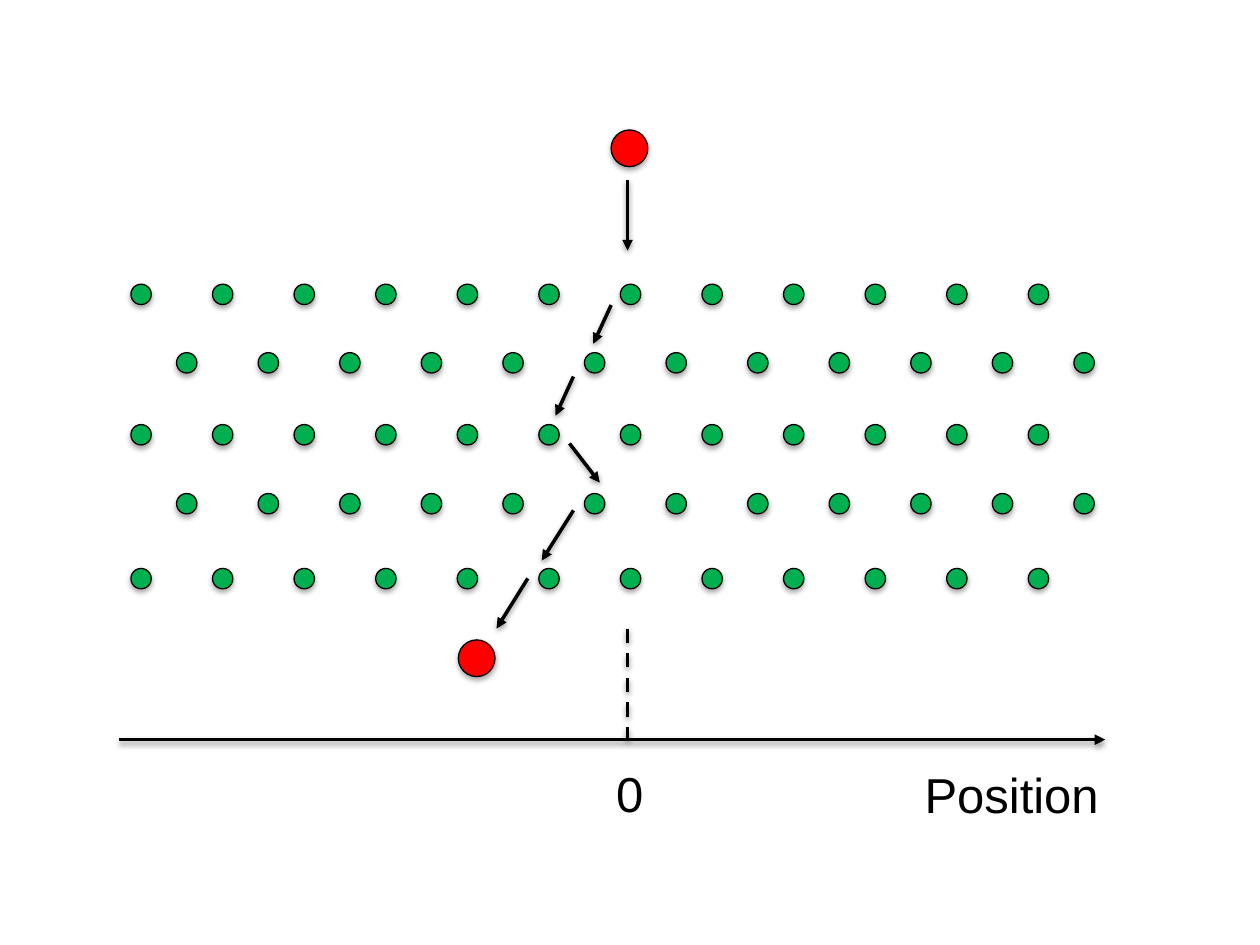
from dataclasses import dataclass

from lxml.etree import SubElement
from pptx import Presentation
from pptx.dml.color import RGBColor
from pptx.enum.dml import MSO_LINE_DASH_STYLE as Dash
from pptx.enum.shapes import MSO_CONNECTOR as Connector
from pptx.enum.shapes import MSO_SHAPE as Shape
from pptx.oxml.ns import qn
from pptx.slide import Slide
from pptx.util import Cm, Pt

BLACK = RGBColor(0x00, 0x00, 0x00)
GREEN = RGBColor(0x00, 0xB0, 0x50)
RED = RGBColor(0xFF, 0x00, 0x00)

# All positions and sizes are in centimetres.
PEG_SIZE = 0.41
BALL_SIZE = 0.74
PEGS_PER_ROW = 12
ROW_SPAN = 18.09
EVEN_ROW_LEFT, ODD_ROW_LEFT = 2.64, 3.56
ROW_TOPS = (5.73, 7.11, 8.56, 9.95, 11.46)
ZERO_X = 12.65
AXIS_Y = 14.91


@dataclass(frozen=True)
class Disc:
    left: float
    top: float
    size: float
    color: RGBColor


@dataclass(frozen=True)
class Stroke:
    x1: float
    y1: float
    x2: float
    y2: float
    dashed: bool = False


BALLS = (
    Disc(12.32, 2.62, BALL_SIZE, RED),
    Disc(9.24, 12.9, BALL_SIZE, RED),
)
STROKES = (
    Stroke(ZERO_X, 3.63, ZERO_X, 5.05),
    Stroke(12.32, 6.15, 11.96, 6.93),
    Stroke(11.56, 7.59, 11.2, 8.38),
    Stroke(11.48, 8.94, 12.09, 9.73),
    Stroke(11.56, 10.29, 10.92, 11.3),
    Stroke(10.64, 11.66, 10.01, 12.67),
    Stroke(2.39, AXIS_Y, 22.28, AXIS_Y),
    Stroke(ZERO_X, 12.67, ZERO_X, AXIS_Y, dashed=True),
)


def add_shadow(properties, distance: float, opacity: int) -> None:
    """Append a soft downward shadow; must follow the fill and line."""
    effects = SubElement(properties, qn("a:effectLst"))
    shadow = SubElement(
        effects, qn("a:outerShdw"), blurRad=str(Pt(3.1)), dist=str(Pt(distance)),
        dir="5400000", rotWithShape="0",
    )
    color = SubElement(shadow, qn("a:srgbClr"), val=str(BLACK))
    SubElement(color, qn("a:alpha"), val=str(opacity * 1000))


def add_disc(page: Slide, disc: Disc) -> None:
    shape = page.shapes.add_shape(
        Shape.OVAL, Cm(disc.left), Cm(disc.top), Cm(disc.size), Cm(disc.size)
    )
    shape.fill.solid()
    shape.fill.fore_color.rgb = disc.color
    shape.line.color.rgb = BLACK
    shape.line.width = Pt(0.75)
    add_shadow(shape.element.spPr, distance=1.8, opacity=35)


def add_stroke(page: Slide, stroke: Stroke) -> None:
    """Draw a dashed guide, or a solid line with an arrowhead."""
    connector = page.shapes.add_connector(
        Connector.STRAIGHT, Cm(stroke.x1), Cm(stroke.y1), Cm(stroke.x2), Cm(stroke.y2)
    )
    connector.line.color.rgb = BLACK
    connector.line.width = Pt(2)
    properties = connector.element.spPr
    if stroke.dashed:
        connector.line.dash_style = Dash.DASH
    else:
        SubElement(properties.find(qn("a:ln")), qn("a:tailEnd"), type="triangle")
    add_shadow(properties, distance=1.6, opacity=38)


def add_text(page: Slide, text: str, *, left: float, top: float, width: float,
             height: float = 1.45, size: float = 28, font: str = "Arial",
             color: RGBColor = BLACK) -> None:
    box = page.shapes.add_textbox(Cm(left), Cm(top), Cm(width), Cm(height))
    box.text_frame.word_wrap = True
    span = box.text_frame.paragraphs[0].add_run()
    span.text = text
    span.font.name = font
    span.font.size = Pt(size)
    span.font.color.rgb = color


def add_pegs(page: Slide) -> None:
    pitch = ROW_SPAN / (PEGS_PER_ROW - 1)
    for row, top in enumerate(ROW_TOPS):
        left = ODD_ROW_LEFT if row % 2 else EVEN_ROW_LEFT
        for column in range(PEGS_PER_ROW):
            add_disc(page, Disc(left + column * pitch, top, PEG_SIZE, GREEN))


def main() -> None:
    deck = Presentation()
    deck.slide_width, deck.slide_height = Cm(25.4), Cm(19.05)
    page = deck.slides.add_slide(deck.slide_layouts.get_by_name("Blank"))
    add_pegs(page)
    for ball in BALLS:
        add_disc(page, ball)
    for stroke in STROKES:
        add_stroke(page, stroke)
    add_text(page, "Position", left=18.39, top=15.29, width=5.05)
    add_text(page, "0", left=12.17, top=15.27, width=0.74)
    deck.save("out.pptx")


if __name__ == "__main__":
    main()
